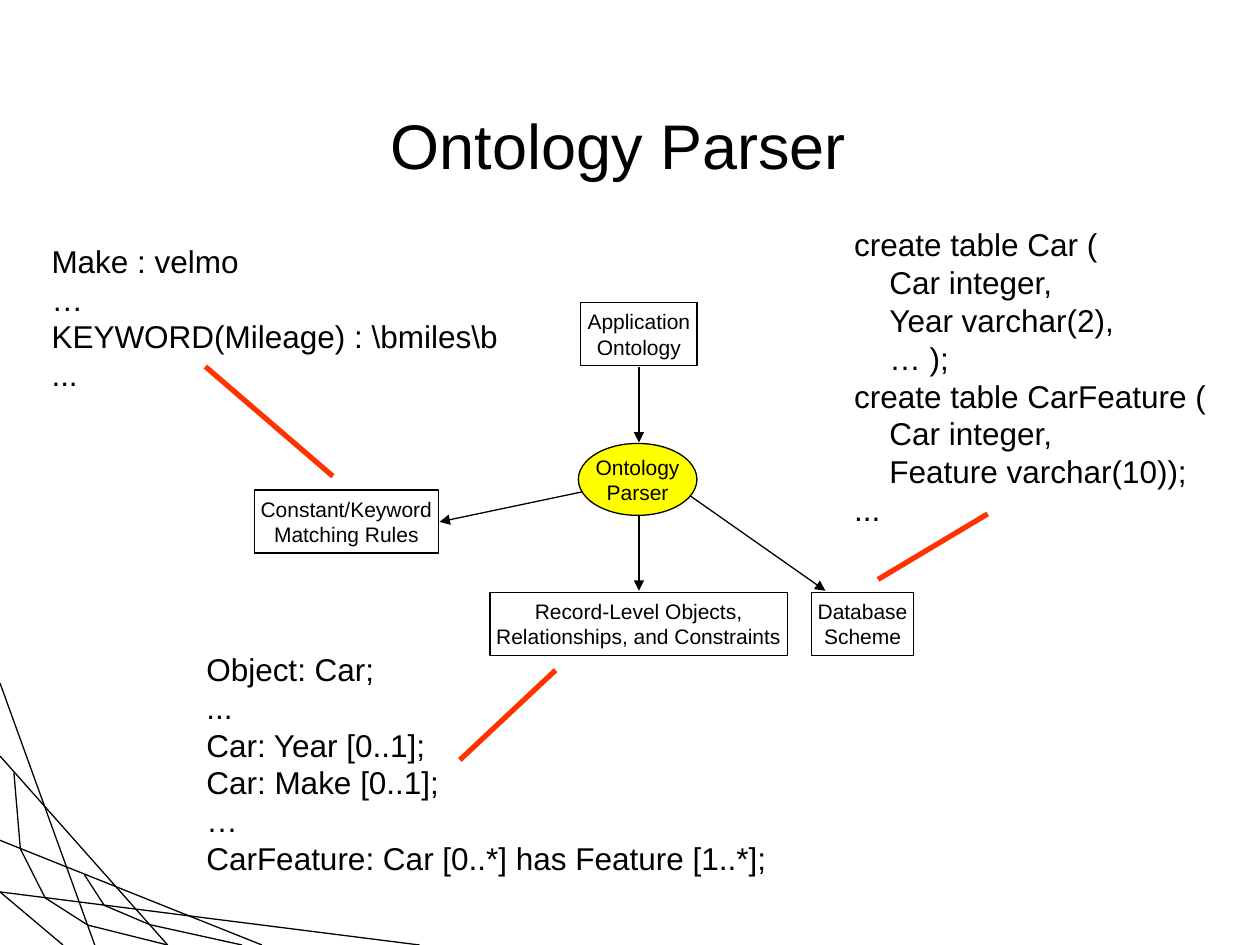
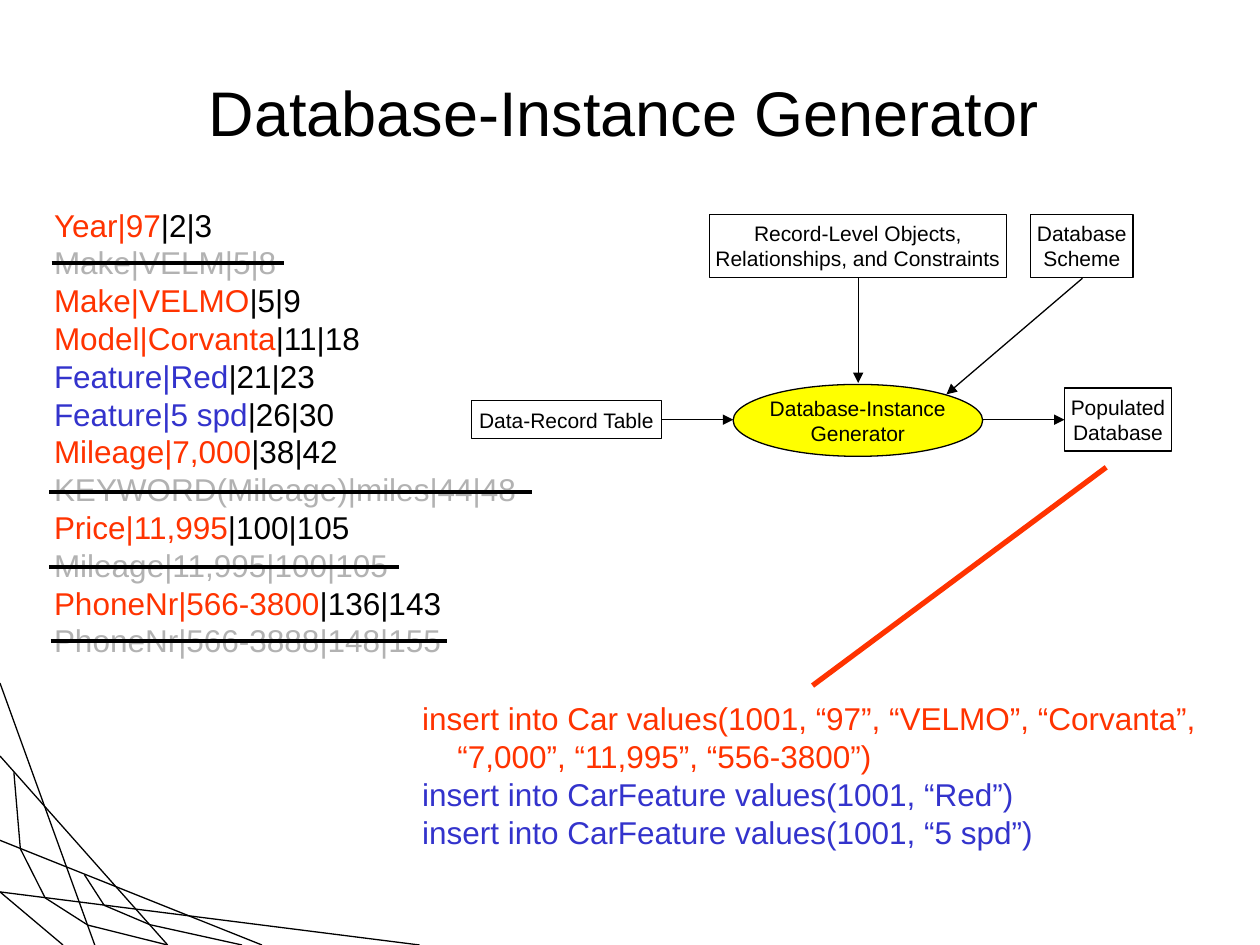
from dataclasses import dataclass
from itertools import pairwise

from lxml import etree
from pptx import Presentation
from pptx import util as u
from pptx.dml.color import RGBColor
from pptx.enum import shapes, text
from pptx.oxml.ns import qn


@dataclass(frozen=True)
class Theme:
    font: str = "Arial"
    title_size: float = 36
    body_size: float = 18
    node_size: float = 12
    thin: float = 0.75
    strike: float = 2.25
    callout: float = 3
    black: str = "000000"
    white: str = "FFFFFF"
    yellow: str = "FFFF00"
    red: str = "FF3300"
    blue: str = "3333CC"
    grey: str = "B2B2B2"


@dataclass(frozen=True)
class Line:
    text: str
    colour: str = Theme.black
    tail: str = ""
    indent: float = 0


WIDTH, HEIGHT = 25.4, 19.05
INDENT = 0.71
NODE_HEIGHT, OVAL_HEIGHT = 1.27, 1.45
RECORD_WIDTH, SCHEME_WIDTH = 5.99, 2.06
RECORD_LABEL = ["Record-Level Objects,", "Relationships, and Constraints"]
SCHEME_LABEL = ["Database", "Scheme"]
WEB_STRANDS = [
    [(0, 13.77), (1.91, HEIGHT)],
    [(0, 15.24), (3.38, HEIGHT)],
    [(0, 16.94), (5.28, HEIGHT)],
    [(0, 17.98), (8.46, HEIGHT)],
    [(0, 17.98), (1.27, HEIGHT)],
    [(0.28, 15.57), (0.41, 17.11), (0.91, 18.1), (1.77, 18.65), (3.38, HEIGHT)],
    [(1.7, 17.63), (2.1, 18.25), (3.02, 18.64), (4.88, HEIGHT)],
]


class Deck:
    def __init__(self, theme):
        self.theme = theme
        self.prs = Presentation()
        self.prs.slide_width, self.prs.slide_height = u.Cm(WIDTH), u.Cm(HEIGHT)
        self.s = None

    def new_slide(self, title, left, top):
        self.s = self.prs.slides.add_slide(self.prs.slide_layouts[6])
        for strand in WEB_STRANDS:
            for start, end in pairwise(strand):
                self.line(start, end)
        sp = self.s.shapes.add_textbox(*map(u.Cm, (left, top, 21.59, 3.18)))
        tf = sp.text_frame
        tf.word_wrap = True
        tf.vertical_anchor = text.MSO_ANCHOR.MIDDLE
        tf.margin_right = u.Cm(0.61)
        tf.text = title
        tf.paragraphs[0].alignment = text.PP_ALIGN.CENTER
        self.style(tf.paragraphs[0].runs[0], self.theme.title_size)

    def style(self, r, size, colour=Theme.black):
        r.font.name = self.theme.font
        r.font.size = u.Pt(size)
        r.font.color.rgb = RGBColor.from_string(colour)

    def line(self, start, end, colour=Theme.black, width=Theme.thin, arrow=False):
        sp = self.s.shapes.add_connector(
            shapes.MSO_CONNECTOR.STRAIGHT, *map(u.Cm, (*start, *end)))
        sp.line.color.rgb = RGBColor.from_string(colour)
        sp.line.width = u.Pt(width)
        props = sp._element.spPr
        if arrow:
            etree.SubElement(props.find(qn("a:ln")), qn("a:tailEnd"), type="triangle")
        etree.SubElement(props, qn("a:effectLst"))

    def arrow(self, start, end):
        self.line(start, end, arrow=True)

    def callout(self, start, end):
        self.line(start, end, self.theme.red, self.theme.callout)

    def strike(self, left, right, y):
        self.line((left, y), (right, y), width=self.theme.strike)

    def listing(self, left, top, width, height, lines):
        sp = self.s.shapes.add_textbox(*map(u.Cm, (left, top, width, height)))
        tf = sp.text_frame
        tf.word_wrap = True
        for i, line in enumerate(lines):
            p = tf.add_paragraph() if i else tf.paragraphs[0]
            p.text = line.text
            self.style(p.runs[0], self.theme.body_size, line.colour)
            if line.indent:
                p._p.get_or_add_pPr().set("marL", str(u.Cm(line.indent)))
            if line.tail:
                r = p.add_run()
                r.text = line.tail
                self.style(r, self.theme.body_size)

    def node(self, kind, box, label, fill, margin):
        sp = self.s.shapes.add_shape(kind, *map(u.Cm, box))
        sp.shadow.inherit = False
        sp.fill.solid()
        sp.fill.fore_color.rgb = RGBColor.from_string(fill)
        sp.line.color.rgb = RGBColor.from_string(self.theme.black)
        sp.line.width = u.Pt(self.theme.thin)
        tf = sp.text_frame
        tf.word_wrap = False
        tf.vertical_anchor = text.MSO_ANCHOR.MIDDLE
        tf.margin_left = tf.margin_right = u.Cm(margin)
        tf.margin_top = tf.margin_bottom = u.Cm(margin)
        tf.text = "\n".join(label)
        for p in tf.paragraphs:
            p.alignment = text.PP_ALIGN.CENTER
            self.style(p.runs[0], self.theme.node_size)

    def data(self, left, top, width, label, height=NODE_HEIGHT):
        self.node(shapes.MSO_SHAPE.FLOWCHART_PROCESS, (left, top, width, height),
                  label, self.theme.white, 0.13)

    def process(self, left, top, width, label):
        self.node(shapes.MSO_SHAPE.OVAL, (left, top, width, OVAL_HEIGHT),
                  label, self.theme.yellow, 0)


def ontology_parser(deck):
    deck.new_slide("Ontology Parser", 1.85, 1.32)
    deck.listing(0.79, 4.75, 9.8, 3.3, [
        Line("Make : velmo"),
        Line("…"),
        Line(r"KEYWORD(Mileage) : \bmiles\b"),
        Line("..."),
    ])
    deck.listing(16.97, 4.42, 8.2, 6.35, [
        Line("create table Car ("),
        Line("Car integer,", indent=INDENT),
        Line("Year varchar(2),", indent=INDENT),
        Line("… );", indent=INDENT),
        Line("create table CarFeature ("),
        Line("Car integer,", indent=INDENT),
        Line("Feature varchar(10));", indent=INDENT),
        Line("..."),
    ])
    deck.listing(3.91, 12.98, 12.2, 4.83, [
        Line("Object: Car;"),
        Line("..."),
        Line("Car: Year [0..1];"),
        Line("Car: Make [0..1];"),
        Line("…"),
        Line("CarFeature: Car [0..*] has Feature [1..*];"),
    ])
    deck.callout((4.14, 7.39), (6.71, 9.6))
    deck.callout((17.7, 11.68), (19.91, 10.36))
    deck.callout((11.2, 13.51), (9.27, 15.32))

    deck.arrow((13.82, 9.93), (16.64, 11.91))
    deck.arrow((12.14, 9.83), (8.86, 10.52))
    deck.data(11.71, 6.1, 2.34, ["Application", "Ontology"])
    deck.process(11.66, 8.94, 2.39, ["Ontology", "Parser"])
    deck.data(5.13, 9.88, 3.71, ["Constant/Keyword", "Matching Rules"])
    deck.data(9.88, 11.94, RECORD_WIDTH, RECORD_LABEL)
    deck.data(16.36, 11.94, SCHEME_WIDTH, SCHEME_LABEL)
    deck.arrow((12.88, 7.39), (12.88, 8.92))
    deck.arrow((12.88, 10.39), (12.88, 11.91))


def instance_generator(deck):
    t = deck.theme
    deck.new_slide("Database-Instance Generator", 1.96, 0.66)
    deck.listing(0.84, 4.02, 10.2, 9.4, [
        Line("Year|97", t.red, "|2|3"),
        Line("Make|VELM|5|8", t.grey),
        Line("Make|VELMO", t.red, "|5|9"),
        Line("Model|Corvanta", t.red, "|11|18"),
        Line("Feature|Red", t.blue, "|21|23"),
        Line("Feature|5 spd", t.blue, "|26|30"),
        Line("Mileage|7,000", t.red, "|38|42"),
        Line("KEYWORD(Mileage)|miles|44|48", t.grey),
        Line("Price|11,995", t.red, "|100|105"),
        Line("Mileage|11,995|100|105", t.grey),
        Line("PhoneNr|566-3800", t.red, "|136|143"),
        Line("PhoneNr|566-3888|148|155", t.grey),
    ])
    deck.listing(8.26, 13.97, 16.8, 3.3, [
        Line("insert into Car values(1001, “97”, “VELMO”, “Corvanta”,", t.red),
        Line("“7,000”, “11,995”, “556-3800”)", t.red, indent=INDENT),
        Line("insert into CarFeature values(1001, “Red”)", t.blue),
        Line("insert into CarFeature values(1001, “5 spd”)", t.blue),
    ])
    deck.callout((22.3, 9.42), (16.38, 13.82))
    deck.strike(1.04, 5.72, 5.31)
    deck.strike(0.99, 10.72, 9.91)
    deck.strike(0.99, 8.05, 11.43)
    deck.strike(1.02, 9.02, 12.93)

    deck.process(14.78, 7.75, 5.03, ["Database-Instance", "Generator"])
    deck.data(9.5, 8.08, 3.84, ["Data-Record Table"], height=0.76)
    deck.data(14.3, 4.32, RECORD_WIDTH, RECORD_LABEL)
    deck.data(20.78, 4.32, SCHEME_WIDTH, SCHEME_LABEL)
    deck.data(21.46, 7.82, 2.16, ["Populated", "Database"])
    deck.arrow((21.82, 5.61), (19.08, 7.95))
    deck.arrow((17.3, 5.61), (17.3, 7.72))
    deck.arrow((13.34, 8.46), (14.78, 8.46))
    deck.arrow((19.81, 8.46), (21.46, 8.46))


def main():
    deck = Deck(Theme())
    ontology_parser(deck)
    instance_generator(deck)
    deck.prs.save("out.pptx")


if __name__ == "__main__":
    main()
